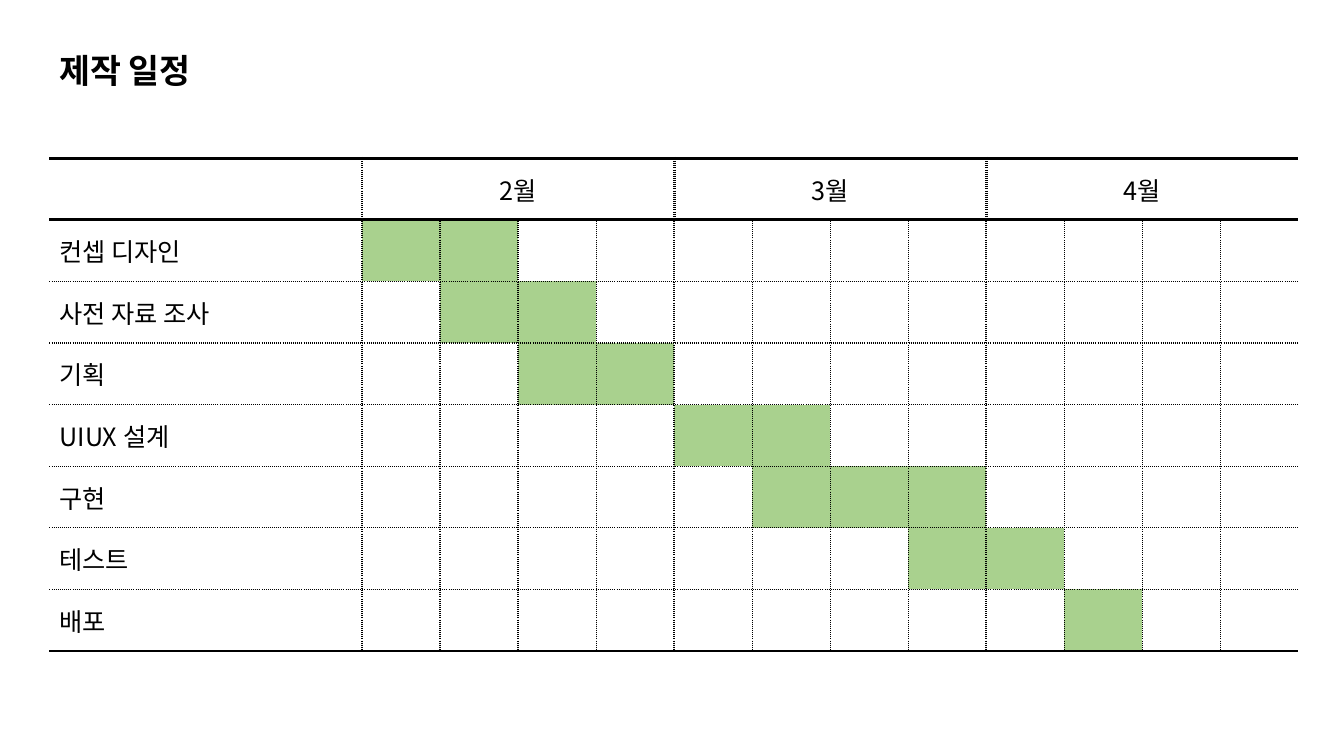
import dataclasses

import pptx
import pptx.dml.color
import pptx.enum.text
import pptx.oxml.ns
import pptx.util
from lxml import etree

Inches = pptx.util.Inches
Pt = pptx.util.Pt
ALIGN = pptx.enum.text.PP_ALIGN
ANCHOR = pptx.enum.text.MSO_ANCHOR


@dataclasses.dataclass(frozen=True)
class Theme:
    font: str = "Noto Sans CJK KR"
    ink: str = "000000"
    bar: str = "A9D18E"
    title: int = 24
    body: int = 18
    thick: float = 2.25
    mid: float = 1.5
    thin: float = 1


THEME = Theme()
MONTHS = ["2월", "3월", "4월"]
WEEKS = 4  # per month
# Task, first week, last week
TASKS = [
    ("컨셉 디자인", 1, 2),
    ("사전 자료 조사", 2, 3),
    ("기획", 3, 4),
    ("UIUX 설계", 5, 6),
    ("구현", 6, 8),
    ("테스트", 8, 9),
    ("배포", 10, 10),
]
ROWS = len(TASKS) + 1
COLS = len(MONTHS) * WEEKS + 1


def color(code):
    return pptx.dml.color.RGBColor.from_string(code)


def write(frame, text, size, bold=False, align=ALIGN.LEFT):
    frame.text = text
    para = frame.paragraphs[0]
    para.alignment = align
    for run in para.runs:
        font = run.font
        font.name, font.size, font.bold = THEME.font, Pt(size), bold
        font.color.rgb = color(THEME.ink)
        # East Asian typeface follows the Latin one
        east = etree.SubElement(font._element, pptx.oxml.ns.qn("a:ea"))
        east.set("typeface", THEME.font)


def add_title(slide, text):
    title = slide.shapes.title
    title.left, title.top = Inches(0.49), Inches(0.44)
    title.width, title.height = Inches(1.52), Inches(0.5)
    frame = title.text_frame
    frame.word_wrap = False
    frame.auto_size = pptx.enum.text.MSO_AUTO_SIZE.SHAPE_TO_FIT_TEXT
    frame.vertical_anchor = ANCHOR.TOP
    write(frame, text, THEME.title, bold=True)


def row_line(edge):
    """Width and dash of the rule above row number edge."""
    if edge in (0, 1, ROWS):
        return THEME.thick, "solid"
    return THEME.thin, "sysDot"


def col_line(row, edge):
    """Width and dash of the rule left of column number edge."""
    if edge in (0, COLS):
        return None
    if edge % WEEKS == 1:
        return (THEME.mid if row else THEME.thick), "sysDot"
    return (THEME.thin, "sysDot") if row else None


def draw_edge(cell, side, line):
    qn = pptx.oxml.ns.qn
    edge = etree.SubElement(cell._tc.get_or_add_tcPr(), qn("a:ln" + side))
    if line is None:
        etree.SubElement(edge, qn("a:noFill"))
        return
    width, dash = line
    edge.set("w", str(Pt(width)))
    fill = etree.SubElement(edge, qn("a:solidFill"))
    etree.SubElement(fill, qn("a:srgbClr")).set("val", THEME.ink)
    etree.SubElement(edge, qn("a:prstDash")).set("val", dash)


def style_cell(cell, row, col, busy):
    end = col + (cell.span_width if cell.is_merge_origin else 1)
    draw_edge(cell, "L", col_line(row, col))
    draw_edge(cell, "R", col_line(row, end))
    draw_edge(cell, "T", row_line(row))
    draw_edge(cell, "B", row_line(row + 1))
    cell.vertical_anchor = ANCHOR.MIDDLE
    if busy:
        cell.fill.solid()
        cell.fill.fore_color.rgb = color(THEME.bar)
    else:
        cell.fill.background()


def add_chart(slide):
    width, height, label = Inches(12.39), Inches(4.89), Inches(3.1)
    table = slide.shapes.add_table(
        ROWS, COLS, Inches(0.49), Inches(1.57), width, height).table
    table.first_row = table.horz_banding = False
    for row in table.rows:
        row.height = height // ROWS
    for col in table.columns:
        col.width = (width - label) // (COLS - 1)
    table.columns[0].width = label

    # Month headings
    for num, month in enumerate(MONTHS):
        first = 1 + num * WEEKS
        head = table.cell(0, first)
        head.merge(table.cell(0, first + WEEKS - 1))
        write(head.text_frame, month, THEME.body, align=ALIGN.CENTER)

    # Task names
    for row, (name, _, _) in enumerate(TASKS, 1):
        write(table.cell(row, 0).text_frame, name, THEME.body)

    # Rules and bars
    for row in range(ROWS):
        for col in range(COLS):
            busy = row > 0 and TASKS[row - 1][1] <= col <= TASKS[row - 1][2]
            style_cell(table.cell(row, col), row, col, busy)


def main():
    deck = pptx.Presentation()
    deck.slide_width, deck.slide_height = Inches(13.33), Inches(7.5)
    slide = deck.slides.add_slide(deck.slide_layouts[5])
    add_title(slide, "제작 일정")
    add_chart(slide)
    deck.save("out.pptx")


if __name__ == "__main__":
    main()
